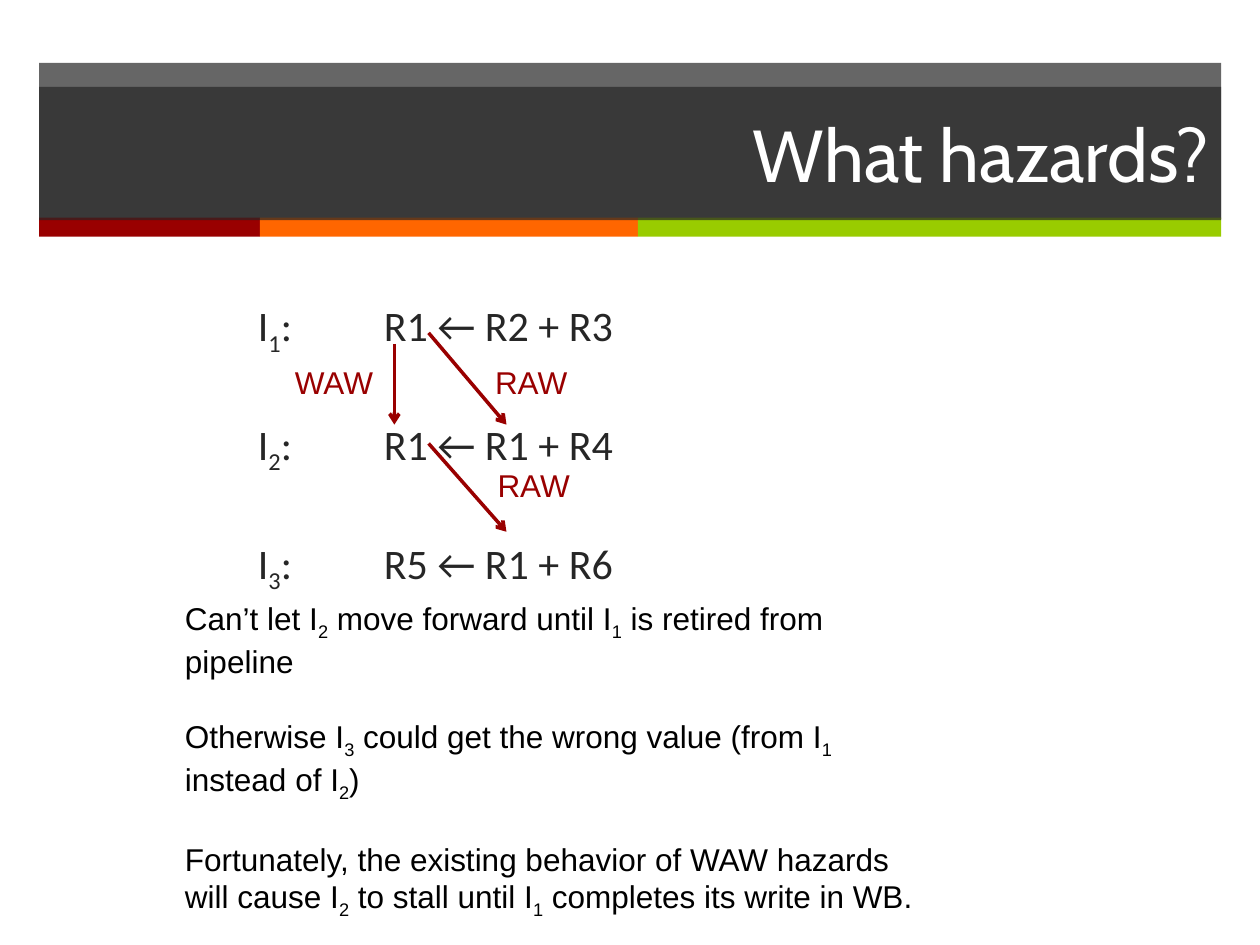
from dataclasses import dataclass

from lxml import etree
from pptx import Presentation
from pptx.dml.color import RGBColor
from pptx.enum.shapes import MSO_CONNECTOR, MSO_SHAPE
from pptx.enum.text import MSO_ANCHOR, PP_ALIGN
from pptx.oxml.ns import qn
from pptx.util import Cm, Pt

RECT = MSO_SHAPE.RECTANGLE
LINE = MSO_CONNECTOR.STRAIGHT
LEFT, RIGHT = PP_ALIGN.LEFT, PP_ALIGN.RIGHT
TOP, MIDDLE = MSO_ANCHOR.TOP, MSO_ANCHOR.MIDDLE


@dataclass(frozen=True)
class Theme:
    dark: str = "262626"
    red: str = "990000"
    orange: str = "FF6600"
    green: str = "99CC00"
    white: str = "FFFFFF"
    black: str = "000000"
    head: int = 42
    code: int = 24
    note: int = 18


@dataclass(frozen=True)
class Box:
    left: float
    top: float
    width: float
    height: float

    def place(self) -> tuple:
        return Cm(self.left), Cm(self.top), Cm(self.width), Cm(self.height)


@dataclass(frozen=True)
class Style:
    face: str
    size: int
    color: str
    align: PP_ALIGN = LEFT
    anchor: MSO_ANCHOR = TOP
    gap: int = 0
    tab: float = 0


@dataclass(frozen=True)
class Label:
    text: str
    left: float
    top: float
    align: PP_ALIGN = LEFT


@dataclass(frozen=True)
class Arrow:
    x1: float
    y1: float
    x2: float
    y2: float


THEME = Theme()
EDGE, SPAN = 0.79, 23.83
BANDS = [Box(EDGE, 1.27, SPAN, 3.15), Box(EDGE, 1.75, SPAN, 2.69)]
BARS = [(4.45, THEME.red), (7.62, THEME.orange), (11.76, THEME.green)]
CODE = ["I_1:\tR1 ← R2 + R3", "I_2:\tR1 ← R1 + R4", "I_3:\tR5 ← R1 + R6"]
NOTES = [
    "Can’t let I_2 move forward until I_1 is retired from pipeline",
    "Otherwise I_3 could get the wrong value (from I_1 instead of I_2)",
    "Fortunately, the existing behavior of WAW hazards will cause I_2"
    " to stall until I_1 completes its write in WB.",
]
ARROWS = [
    Arrow(8.64, 6.71, 10.21, 8.56),
    Arrow(8.64, 8.94, 10.21, 10.72),
    Arrow(7.95, 6.93, 7.95, 8.56),
]
LABELS = [
    Label("RAW", 9.73, 7.19),
    Label("RAW", 9.78, 9.27),
    Label("WAW", 5.51, 7.19, RIGHT),
]


def assign(item, values: dict) -> None:
    for name, value in values.items():
        setattr(item, name, value)


def add_rect(slide, box: Box, color: str, alpha: int = 100):
    shape = slide.shapes.add_shape(RECT, *box.place())
    shape.shadow.inherit = False
    shape.line.fill.background()
    shape.fill.solid()
    shape.fill.fore_color.rgb = RGBColor.from_string(color)
    if alpha < 100:
        tone = shape.fill._xPr.find(".//" + qn("a:srgbClr"))
        etree.SubElement(tone, qn("a:alpha"), val=str(alpha * 1000))
    return shape


def add_run(para, text: str, style: Style, sub: bool = False) -> None:
    run = para.add_run()
    run.text = text
    assign(run.font, {"name": style.face, "size": Pt(style.size), "bold": False})
    run.font.color.rgb = RGBColor.from_string(style.color)
    if sub:
        run.font._element.set("baseline", "-25000")


def write(shape, lines: list[str], style: Style) -> None:
    frame = shape.text_frame
    assign(frame, {"word_wrap": True, "vertical_anchor": style.anchor})
    for row, line in enumerate(lines):
        para = frame.add_paragraph() if row else frame.paragraphs[0]
        para.alignment = style.align
        if row:
            para.space_before = Pt(style.gap)
        if style.tab:
            stops = etree.SubElement(para._p.get_or_add_pPr(), qn("a:tabLst"))
            etree.SubElement(stops, qn("a:tab"), pos=str(Cm(style.tab)), algn="l")
        first, *parts = line.split("_")
        add_run(para, first, style)
        for part in parts:
            add_run(para, part[0], style, sub=True)
            add_run(para, part[1:], style)


def add_text(slide, box: Box, lines: list[str], style: Style) -> None:
    write(slide.shapes.add_textbox(*box.place()), lines, style)


def add_arrow(slide, arrow: Arrow) -> None:
    ends = (arrow.x1, arrow.y1, arrow.x2, arrow.y2)
    link = slide.shapes.add_connector(LINE, *map(Cm, ends))
    link.line.width = Pt(2)
    link.line.color.rgb = RGBColor.from_string(THEME.red)
    etree.SubElement(link.line._get_or_add_ln(), qn("a:tailEnd"), type="arrow")
    etree.SubElement(link._element.spPr, qn("a:effectLst"))


def main() -> None:
    deck = Presentation()
    assign(deck, {"slide_width": Cm(25.4), "slide_height": Cm(19.05)})
    slide = deck.slides.add_slide(deck.slide_layouts[6])

    back, front = BANDS
    add_rect(slide, back, THEME.dark, 70)
    left = EDGE
    for width, color in BARS:
        add_rect(slide, Box(left, 4.39, width, 0.38), color)
        left += width
    title = add_rect(slide, front, THEME.dark, 70)
    write(title, ["What hazards?"],
          Style("Cabin", THEME.head, THEME.white, RIGHT, MIDDLE))

    add_text(slide, Box(4.95, 5.92, 19.66, 11.1), CODE,
             Style("Calibri", THEME.code, THEME.dark, gap=35, tab=2.54))
    for arrow in ARROWS:
        add_arrow(slide, arrow)
    for label in LABELS:
        add_text(slide, Box(label.left, label.top, 2.26, 1.02), [label.text],
                 Style("Arial", THEME.note, THEME.red, label.align))
    add_text(slide, Box(3.48, 11.96, 15.62, 6.4), NOTES,
             Style("Arial", THEME.note, THEME.black, gap=21))

    deck.save("out.pptx")


if __name__ == "__main__":
    main()
